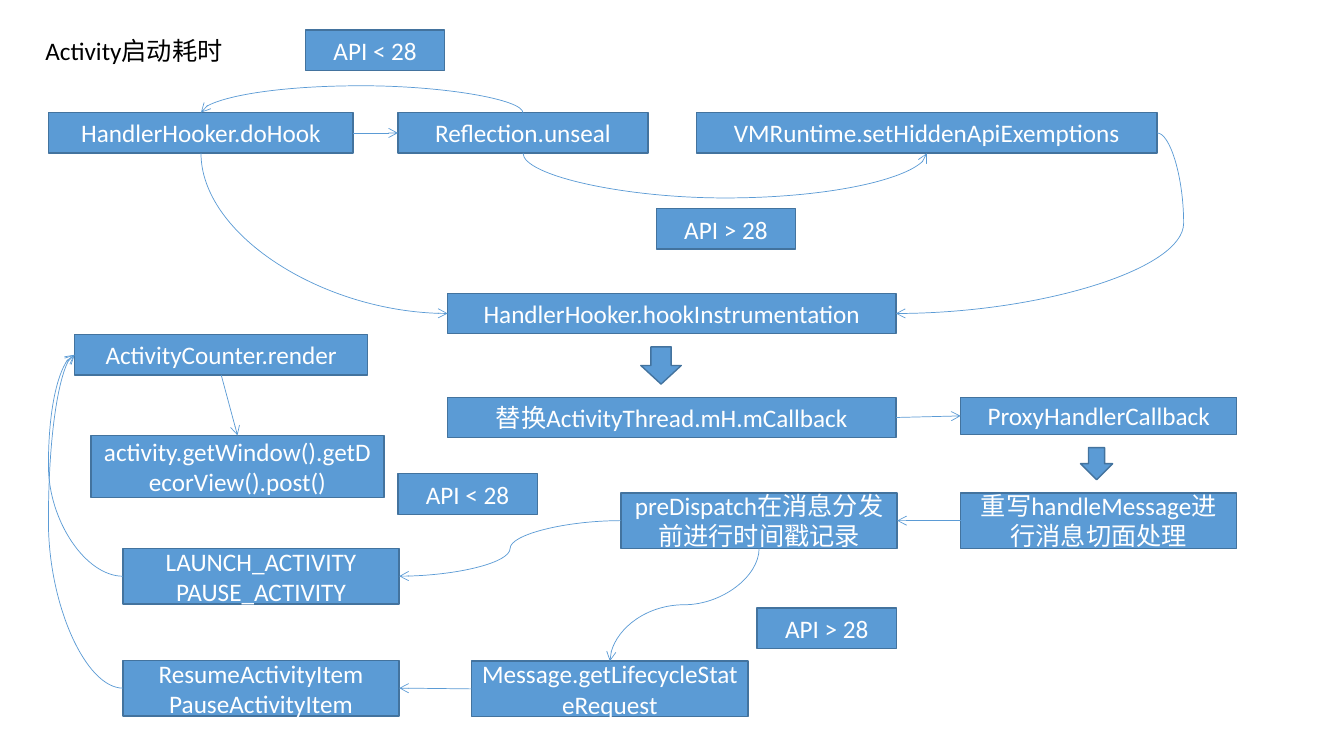
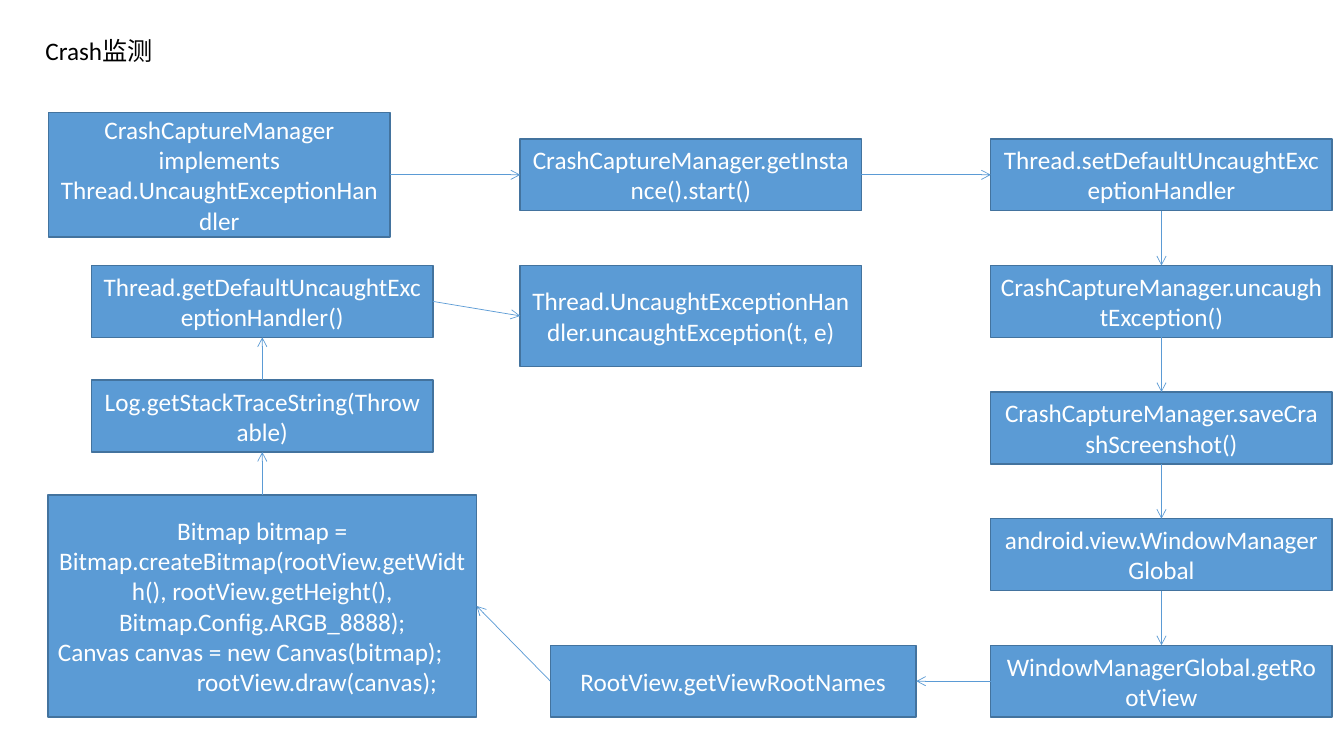
from lxml import etree
from pptx import Presentation
from pptx.dml.color import RGBColor
from pptx.enum.shapes import MSO_CONNECTOR, MSO_SHAPE
from pptx.enum.text import MSO_ANCHOR, PP_ALIGN
from pptx.oxml.ns import qn
from pptx.util import Cm, Pt

RECTANGLE, DOWN_ARROW = MSO_SHAPE.RECTANGLE, MSO_SHAPE.DOWN_ARROW
STRAIGHT, CURVE = MSO_CONNECTOR.STRAIGHT, MSO_CONNECTOR.CURVE
LEFT_ALIGN, CENTER = PP_ALIGN.LEFT, PP_ALIGN.CENTER
ANCHOR_TOP, ANCHOR_MIDDLE = MSO_ANCHOR.TOP, MSO_ANCHOR.MIDDLE

# Connection sites of a rectangle
TOP, LEFT, BOTTOM, RIGHT = range(4)
HEADINGS = {TOP: 270, LEFT: 180, BOTTOM: 90, RIGHT: 0}

BLUE, DARK_BLUE = "5B9BD5", "43739E"
BLACK, WHITE = "000000", "FFFFFF"
FONT = "Calibri"
TITLE_ONLY = 5
LINE_HEIGHT = 1.02
TAG_WIDTH = 3.51
MIN_EXTENT = 3175


def rgb(color):
    return RGBColor.from_string(color)


def write_text(shape, text, color=WHITE, size=18, alignment=CENTER,
               anchor=ANCHOR_MIDDLE, wrap=True):
    frame = shape.text_frame
    frame.word_wrap = wrap
    frame.vertical_anchor = anchor
    frame.text = text
    for paragraph in frame.paragraphs:
        paragraph.alignment = alignment
        paragraph.font.name = FONT
        paragraph.font.size = Pt(size)
        paragraph.font.color.rgb = rgb(color)


def add_titled_slide(presentation, text, width):
    slide = presentation.slides.add_slide(presentation.slide_layouts[TITLE_ONLY])
    title = slide.shapes.title
    title.left, title.top = Cm(0.89), Cm(0.76)
    title.width, title.height = Cm(width), Cm(LINE_HEIGHT)
    write_text(title, text, color=BLACK, alignment=LEFT_ALIGN,
               anchor=ANCHOR_TOP, wrap=False)
    return slide


def add_block(slide, left, top, width, height, kind=RECTANGLE):
    shape = slide.shapes.add_shape(kind, Cm(left), Cm(top), Cm(width), Cm(height))
    shape.shadow.inherit = False
    shape.fill.solid()
    shape.fill.fore_color.rgb = rgb(BLUE)
    shape.line.color.rgb = rgb(DARK_BLUE)
    shape.line.width = Pt(1)
    return shape


def add_box(slide, text, left, top, width, height=LINE_HEIGHT):
    shape = add_block(slide, left, top, width, height)
    write_text(shape, text)
    return shape


def add_arrow(slide, start, start_site, end, end_site, kind=STRAIGHT):
    connector = slide.shapes.add_connector(kind, 0, 0, 0, 0)
    connector.begin_connect(start, start_site)
    connector.end_connect(end, end_site)
    connector.line.color.rgb = rgb(BLUE)
    connector.line.width = Pt(0.5)
    properties = connector.element.spPr
    etree.SubElement(properties.find(qn("a:ln")), qn("a:tailEnd"), type="arrow")
    etree.SubElement(properties, qn("a:effectLst"))
    return connector


def add_curve(slide, start, start_site, end, end_site, bend=None):
    """Curve that leaves square to its side; bend is its reach in cm before turning."""
    connector = add_arrow(slide, start, start_site, end, end_site, CURVE)
    begin_x, begin_y = connector.begin_x, connector.begin_y
    end_x, end_y = connector.end_x, connector.end_y
    dx, dy = end_x - begin_x, end_y - begin_y
    heading = HEADINGS[start_site]
    along, across = {0: (dx, dy), 90: (dy, -dx),
                     180: (-dx, -dy), 270: (-dy, dx)}[heading]
    if abs(along) < MIN_EXTENT:
        along = MIN_EXTENT

    connector.width, connector.height = abs(along), abs(across)
    connector.left = (begin_x + end_x - abs(along)) // 2
    connector.top = (begin_y + end_y - abs(across)) // 2
    properties = connector.element.spPr
    transform = properties.find(qn("a:xfrm"))
    transform.set("rot", str(heading * 60000))
    transform.set("flipH", str(int(along < 0)))
    transform.set("flipV", str(int(across < 0)))

    geometry = properties.find(qn("a:prstGeom"))
    if start_site % 2 != end_site % 2:
        geometry.set("prst", "curvedConnector2")
    elif bend is not None:
        guides = geometry.find(qn("a:avLst"))
        if guides is None:
            guides = etree.SubElement(geometry, qn("a:avLst"))
        value = round(Cm(bend) / along * 100000)
        etree.SubElement(guides, qn("a:gd"), name="adj1", fmla=f"val {value}")


def build_launch_slide(presentation):
    slide = add_titled_slide(presentation, "Activity启动耗时", 5.11)
    for text, left, top in (("API < 28", 7.7, 0.76), ("API > 28", 16.54, 5.26),
                            ("API < 28", 10.03, 11.94), ("API > 28", 19.08, 15.32)):
        add_box(slide, text, left, top, TAG_WIDTH)

    do_hook = add_box(slide, "HandlerHooker.doHook", 1.23, 2.84, 7.67)
    unseal = add_box(slide, "Reflection.unseal", 10.03, 2.84, 6.3)
    exemptions = add_box(slide, "VMRuntime.setHiddenApiExemptions", 17.55, 2.84, 11.61)
    instrumentation = add_box(slide, "HandlerHooker.hookInstrumentation", 11.28, 7.39, 11.3)
    callback = add_box(slide, "替换ActivityThread.mH.mCallback", 11.28, 10.01, 11.3)
    render = add_box(slide, "ActivityCounter.render", 1.88, 8.43, 7.39)
    post = add_box(slide, "activity.getWindow().getDecorView().post()",
                   2.29, 10.97, 7.39, 1.57)

    step_width, step_height = 6.96, 1.4
    proxy = add_box(slide, "ProxyHandlerCallback", 24.21, 10.01, step_width, 0.94)
    handle, dispatch, launch, resume, request = (
        add_box(slide, text, left, top, step_width, step_height)
        for text, left, top in (
            ("重写handleMessage进行消息切面处理", 24.21, 12.42),
            ("preDispatch在消息分发前进行时间戳记录", 15.65, 12.42),
            ("LAUNCH_ACTIVITY\nPAUSE_ACTIVITY", 3.1, 13.82),
            ("ResumeActivityItem\nPauseActivityItem", 3.1, 16.64),
            ("Message.getLifecycleStateRequest", 11.89, 16.66)))

    add_block(slide, 16.15, 8.74, 1.02, 0.94, DOWN_ARROW)
    add_block(slide, 27.23, 11.28, 0.81, 0.81, DOWN_ARROW)

    for link in ((do_hook, RIGHT, unseal, LEFT), (callback, RIGHT, proxy, LEFT),
                 (handle, LEFT, dispatch, RIGHT), (request, LEFT, resume, RIGHT),
                 (render, BOTTOM, post, TOP)):
        add_arrow(slide, *link)
    for link in ((unseal, TOP, do_hook, TOP, 0.67),
                 (unseal, BOTTOM, exemptions, BOTTOM, 1.11),
                 (exemptions, RIGHT, instrumentation, RIGHT, 0.67),
                 (do_hook, BOTTOM, instrumentation, LEFT),
                 (dispatch, LEFT, launch, RIGHT),
                 (dispatch, BOTTOM, request, TOP),
                 (launch, LEFT, render, LEFT, 1.88),
                 (resume, LEFT, render, LEFT, 1.88)):
        add_curve(slide, *link)


def build_crash_slide(presentation):
    slide = add_titled_slide(presentation, "Crash监测", 3.45)
    width, height = 8.6, 1.81
    first_top, row_step = 3.5, 3.19
    second_top, last_top = first_top + row_step, first_top + 4 * row_step

    manager = add_box(slide, "CrashCaptureManager implements Thread.UncaughtExceptionHandler",
                      1.23, 2.84, width, 3.13)
    start = add_box(slide, "CrashCaptureManager.getInstance().start()",
                    13.11, first_top, width, height)
    column = [
        add_box(slide, text, 24.97, first_top + row * row_step, width, height)
        for row, text in enumerate((
            "Thread.setDefaultUncaughtExceptionHandler",
            "CrashCaptureManager.uncaughtException()",
            "CrashCaptureManager.saveCrashScreenshot()",
            "android.view.WindowManagerGlobal",
            "WindowManagerGlobal.getRootView"))]
    root_names = add_box(slide, "RootView.getViewRootNames", 13.87, last_top, 9.22, height)
    bitmap = add_box(
        slide,
        "Bitmap bitmap = Bitmap.createBitmap(rootView.getWidth(), "
        "rootView.getHeight(), Bitmap.Config.ARGB_8888);\n"
        "Canvas canvas = new Canvas(bitmap);\n"
        "rootView.draw(canvas);",
        1.21, 12.47, 10.8, 5.6)
    canvas_line, draw_line = bitmap.text_frame.paragraphs[1:]
    canvas_line.alignment = draw_line.alignment = LEFT_ALIGN
    draw_line._p.get_or_add_pPr().set("marL", str(Cm(3.5)))
    stack_trace = add_box(slide, "Log.getStackTraceString(Throwable)",
                          2.31, 9.58, width, height)
    default_handler = add_box(slide, "Thread.getDefaultUncaughtExceptionHandler()",
                              2.31, second_top, width, height)
    uncaught = add_box(slide, "Thread.UncaughtExceptionHandler.uncaughtException(t, e)",
                       13.11, second_top, width, 2.54)

    for upper, lower in zip(column, column[1:]):
        add_arrow(slide, upper, BOTTOM, lower, TOP)
    for link in ((manager, RIGHT, start, LEFT), (start, RIGHT, column[0], LEFT),
                 (column[-1], LEFT, root_names, RIGHT),
                 (root_names, LEFT, bitmap, RIGHT),
                 (bitmap, TOP, stack_trace, BOTTOM),
                 (stack_trace, TOP, default_handler, BOTTOM),
                 (default_handler, RIGHT, uncaught, LEFT)):
        add_arrow(slide, *link)


def main():
    presentation = Presentation()
    presentation.slide_width, presentation.slide_height = Cm(33.87), Cm(19.05)
    build_launch_slide(presentation)
    build_crash_slide(presentation)
    presentation.save("out.pptx")


if __name__ == "__main__":
    main()
